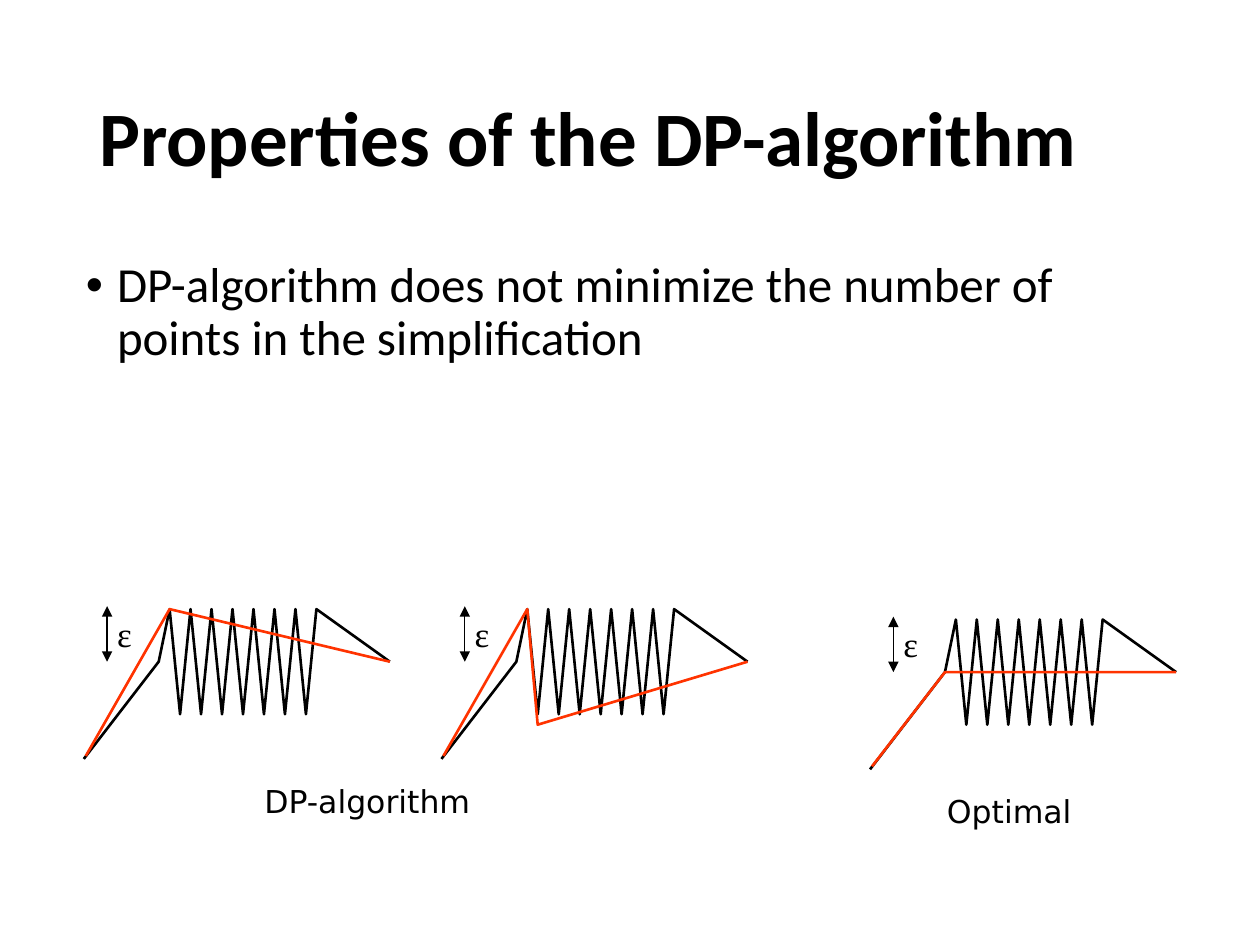
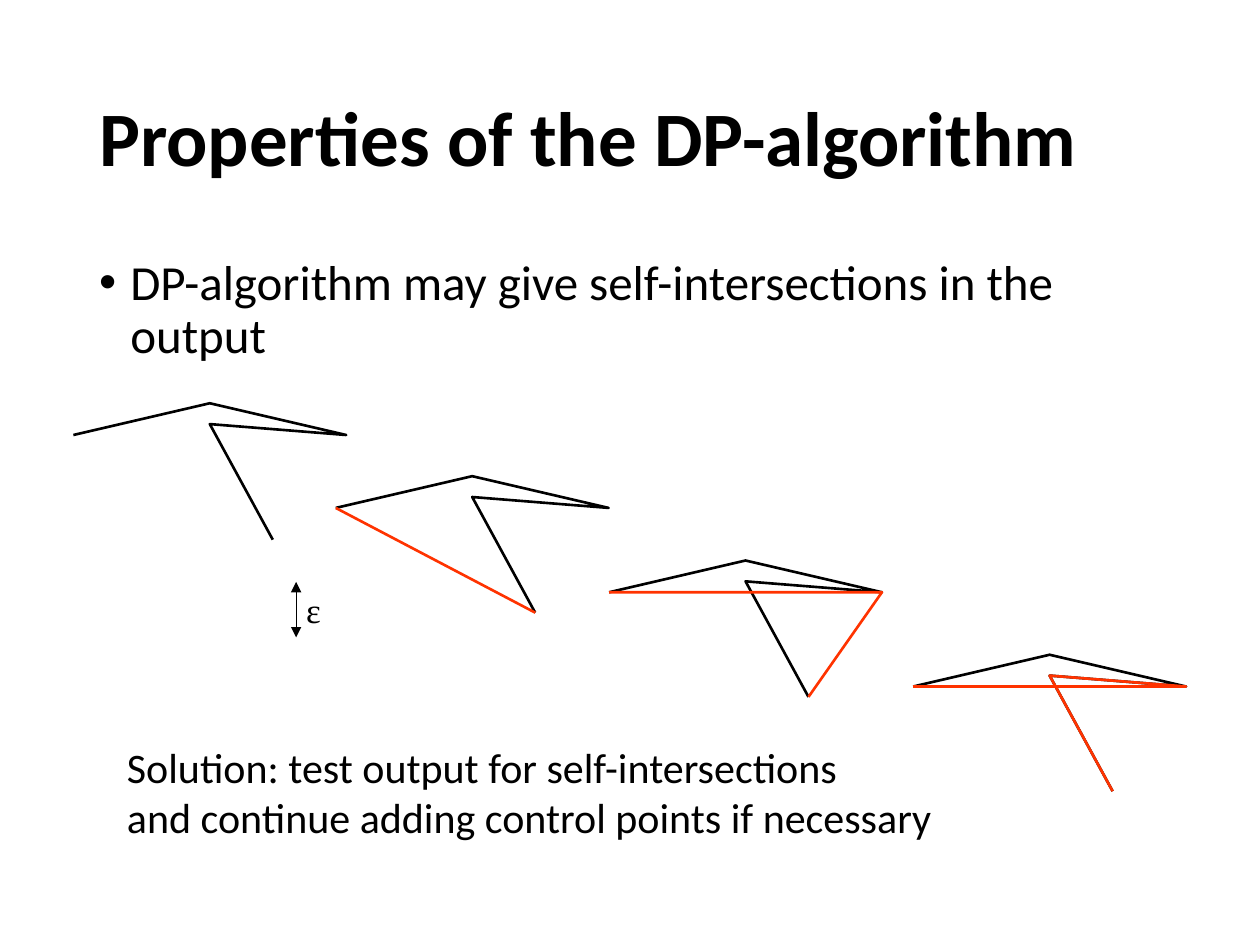
from pptx import Presentation
from pptx.dml.color import RGBColor
from pptx.enum.shapes import MSO_CONNECTOR
from pptx.enum.text import MSO_ANCHOR
from pptx.oxml.ns import qn
from pptx.util import Cm, Pt
from lxml import etree

STRAIGHT = MSO_CONNECTOR.STRAIGHT
MIDDLE, TOP = MSO_ANCHOR.MIDDLE, MSO_ANCHOR.TOP

BLACK, RED = "000000", "FF3300"
HEAD_FONT, MATH_FONT, LABEL_FONT = "Calibri", "Times New Roman", "DejaVu Sans"
CURVE_WIDTH, ARROW_WIDTH = 1.5, 0.75
TITLE = "Properties of the DP-algorithm"

ZIGZAG_TURNS = 15
ZIGZAG_STEP = 2.96 / (ZIGZAG_TURNS - 1)
ZIGZAG_HEIGHT = 2.12
FIRST_PEAK = (1.73, 0)
KNEE, TIP = (1.51, 1.06), (6.17, 1.06)
ZIGZAG = [
    (0, 3.02),
    KNEE,
    *((FIRST_PEAK[0] + i * ZIGZAG_STEP, i % 2 * ZIGZAG_HEIGHT)
      for i in range(ZIGZAG_TURNS)),
    TIP,
]
RED_START = (0.04, 2.96)

HOOK = [(0, 0.64), (2.75, 0), (5.5, 0.64), (2.75, 0.42), (4.02, 2.75)]


def color(value):
    """Turn a hex string into a colour."""
    return RGBColor.from_string(value)


def add_text(slide, box, text, size, font=HEAD_FONT, bold=False, anchor=TOP):
    """Add a text box of one paragraph and return the paragraph."""
    sp = slide.shapes.add_textbox(*map(Cm, box))
    tf = sp.text_frame
    tf.word_wrap = True
    tf.vertical_anchor = anchor
    p = tf.paragraphs[0]
    p.text = text
    for r in p.runs:
        r.font.name = font
        r.font.size = Pt(size)
        r.font.bold = bold
        r.font.color.rgb = color(BLACK)
    return p


def add_line(shapes, start, end, line_color, width):
    """Add a straight connector without shadow."""
    line = shapes.add_connector(STRAIGHT, *map(Cm, (*start, *end)))
    line.line.color.rgb = color(line_color)
    line.line.width = Pt(width)
    etree.SubElement(line._element.spPr, qn("a:effectLst"))
    return line


def add_polyline(shapes, left, top, points, line_color):
    """Draw an open line through points given relative to left and top."""
    placed = [(left + x, top + y) for x, y in points]
    if len(placed) == 2:
        add_line(shapes, *placed, line_color, CURVE_WIDTH)
        return
    vertices = [(Cm(x), Cm(y)) for x, y in placed]
    builder = shapes.build_freeform(*vertices[0])
    builder.add_line_segments(vertices[1:], close=False)
    sp = builder.convert_to_shape()
    sp.shadow.inherit = False
    sp.fill.background()
    sp.line.color.rgb = color(line_color)
    sp.line.width = Pt(CURVE_WIDTH)


def add_tolerance(slide, left, top):
    """Add the double arrow and the letter for the error tolerance."""
    x = left + 0.05
    arrow = add_line(slide.shapes, (x, top), (x, top + 1.12), BLACK, ARROW_WIDTH)
    ln = arrow.line._get_or_add_ln()
    for end in ("a:headEnd", "a:tailEnd"):
        etree.SubElement(ln, qn(end), type="triangle")
    add_text(slide, (left, top, 0.82, 1.1), "ε", 20, MATH_FONT)


def add_base_slide(prs, statement, body_box):
    """Add a slide with the shared title and one bulleted statement."""
    slide = prs.slides.add_slide(prs.slide_layouts[6])
    p = add_text(slide, (1.75, 1.02, 21.9, 3.68), TITLE, 44, bold=True, anchor=MIDDLE)
    p.line_spacing = 0.9
    p = add_text(slide, body_box, statement, 28)
    p.line_spacing = 0.9
    p.space_before = Pt(10)
    pPr = p._p.get_or_add_pPr()
    pPr.set("marL", str(Cm(0.63)))
    pPr.set("indent", str(-Cm(0.63)))
    etree.SubElement(pPr, qn("a:buFont"), typeface="Arial")
    etree.SubElement(pPr, qn("a:buChar"), char="•")
    return slide


def add_zigzag(slide, left, top, simplification):
    """Draw the zigzag curve, its tolerance and a simplification."""
    add_polyline(slide.shapes, left, top, ZIGZAG, BLACK)
    add_tolerance(slide, left + 0.42, top - 0.06)
    add_polyline(slide.shapes, left, top, [RED_START, *simplification], RED)


def add_hook(slide, left, top, kept):
    """Draw the hooked curve and the simplification through kept vertices."""
    shapes = slide.shapes.add_group_shape().shapes if kept else slide.shapes
    add_polyline(shapes, left, top, HOOK, BLACK)
    if kept:
        add_polyline(shapes, left, top, [HOOK[i] for i in kept], RED)


def build_minimum_slide(prs):
    """Compare the algorithm's output with the optimal simplification."""
    slide = add_base_slide(
        prs,
        "DP-algorithm does not minimize the number of points in the simplification",
        (1.48, 5.13, 22.43, 4.24),
    )
    add_zigzag(slide, 1.69, 12.28, [FIRST_PEAK, TIP])
    add_zigzag(slide, 8.9, 12.28, [FIRST_PEAK, (1.94, 2.33), TIP])
    add_zigzag(slide, 17.54, 12.49, [KNEE, TIP])
    add_text(slide, (5.08, 15.64, 6.15, 1.27), "DP-algorithm", 18, LABEL_FONT)
    add_text(slide, (18.84, 15.85, 3.84, 1.27), "Optimal", 18, LABEL_FONT)


def build_intersection_slide(prs):
    """Show the steps that lead to a self-intersection."""
    slide = add_base_slide(
        prs,
        "DP-algorithm may give self-intersections in the output",
        (1.75, 5.08, 21.9, 3.45),
    )
    steps = [
        (1.48, 8.13, ()),
        (6.77, 9.6, (0, 4)),
        (12.28, 11.3, (0, 2, 4)),
        (18.41, 13.2, (0, 2, 3, 4)),
    ]
    for left, top, kept in steps:
        add_hook(slide, left, top, kept)
    add_tolerance(slide, 5.92, 11.73)
    p = add_text(
        slide,
        (2.31, 14.82, 21.17, 2.31),
        "Solution: test output for self-intersections\n"
        "and continue adding control points if necessary",
        24,
    )
    p.space_before = Pt(12)


def main():
    """Build and save the presentation."""
    prs = Presentation()
    prs.slide_width, prs.slide_height = Cm(25.4), Cm(19.05)
    build_minimum_slide(prs)
    build_intersection_slide(prs)
    prs.save("out.pptx")


if __name__ == "__main__":
    main()
